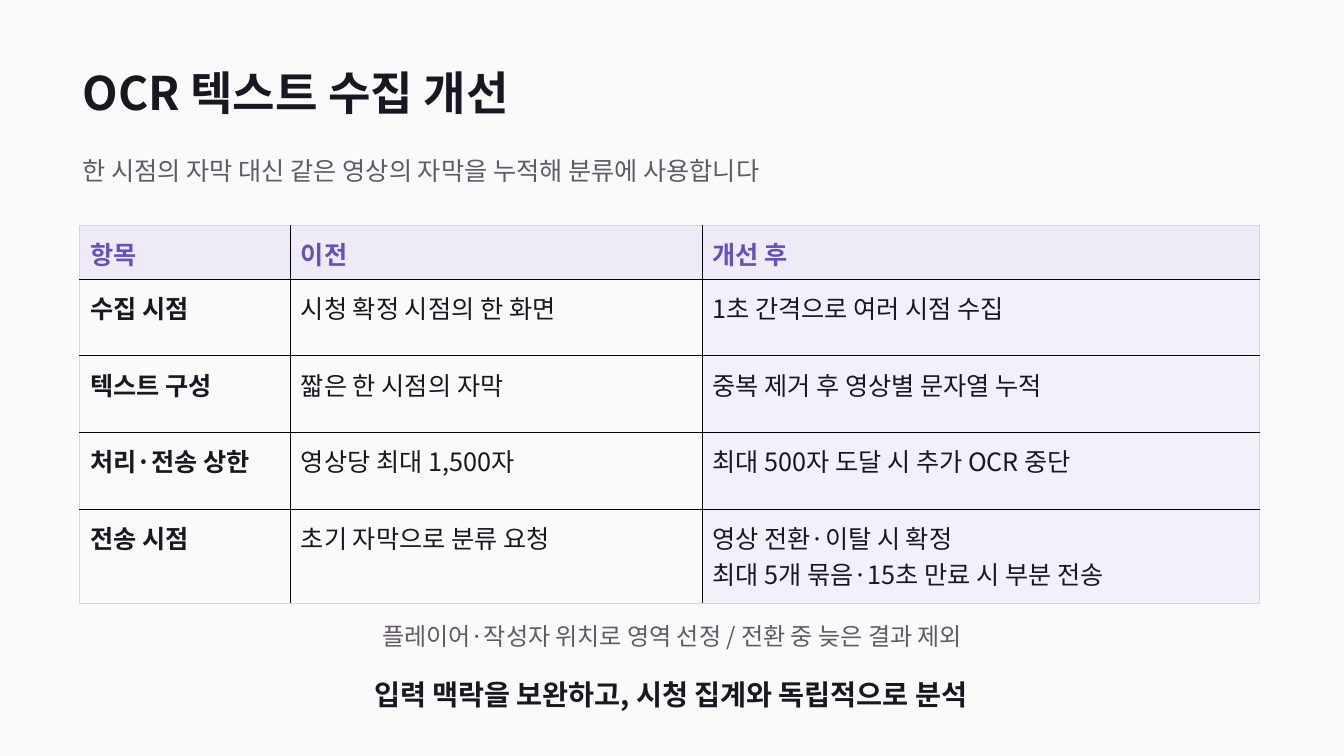
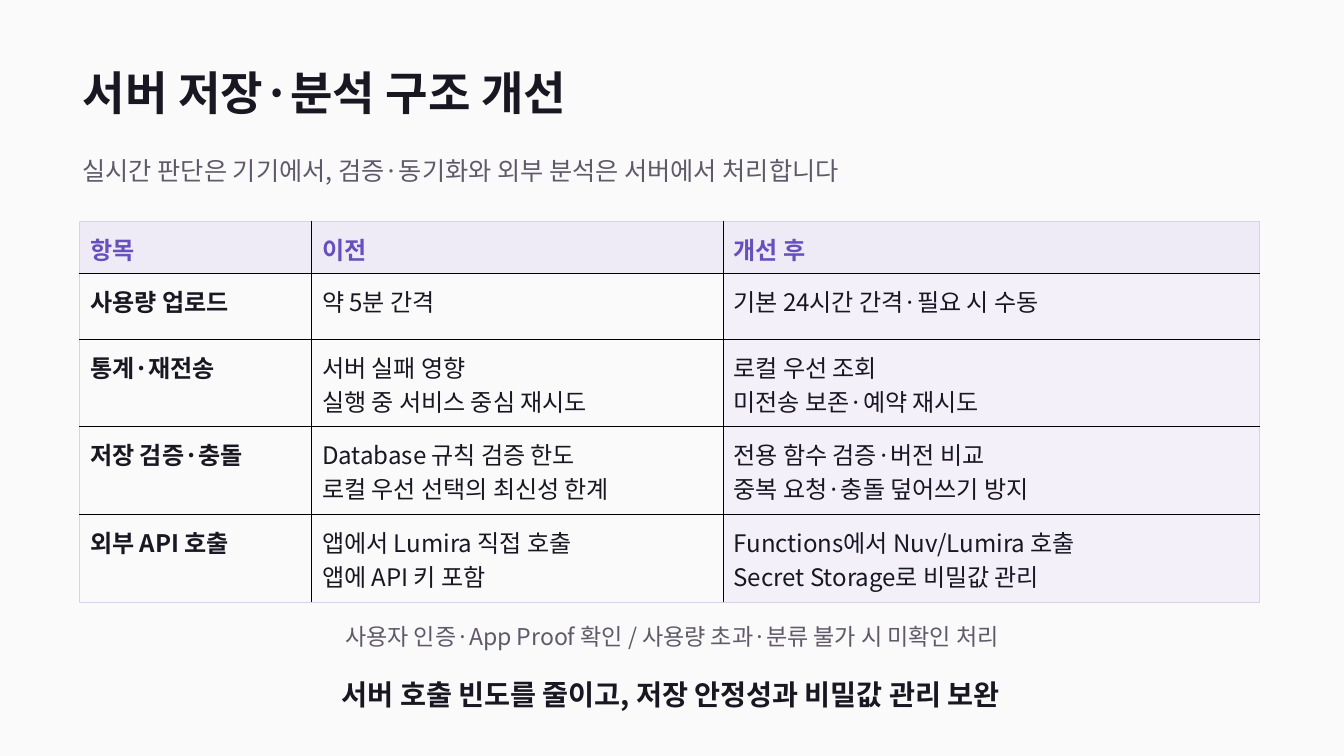
import pptx
import pptx.util
import pptx.dml.color
import pptx.enum.text
import pptx.oxml
import pptx.oxml.ns
import lxml.etree

Pt = pptx.util.Pt
RGB = pptx.dml.color.RGBColor
Anchor = pptx.enum.text.MSO_ANCHOR
Align = pptx.enum.text.PP_ALIGN
qn = pptx.oxml.ns.qn

PAPER = RGB(0xFA, 0xFA, 0xFA)
INK = RGB(0x19, 0x18, 0x22)
MUTED = RGB(0x60, 0x59, 0x69)
ACCENT = RGB(0x67, 0x50, 0xBD)
HEAD = RGB(0xEE, 0xEA, 0xF6)
AFTER = RGB(0xF3, 0xF0, 0xF9)
EDGE = RGB(0xD9, 0xD3, 0xE4)
RULE = RGB(0x00, 0x00, 0x00)
FONT = "Noto Sans CJK KR"

LEFT, WIDTH = 57, 843
HEADER = ("항목", "이전", "개선 후")

SLIDES = [
    {
        "title": "OCR 텍스트 수집 개선",
        "lead": "한 시점의 자막 대신 같은 영상의 자막을 누적해 분류에 사용합니다",
        "rows": [
            ("수집 시점", "시청 확정 시점의 한 화면", "1초 간격으로 여러 시점 수집"),
            ("텍스트 구성", "짧은 한 시점의 자막", "중복 제거 후 영상별 문자열 누적"),
            ("처리·전송 상한", "영상당 최대 1,500자", "최대 500자 도달 시 추가 OCR 중단"),
            ("전송 시점", "초기 자막으로 분류 요청",
             "영상 전환·이탈 시 확정\n최대 5개 묶음·15초 만료 시 부분 전송"),
        ],
        "note": "플레이어·작성자 위치로 영역 선정 / 전환 중 늦은 결과 제외",
        "close": "입력 맥락을 보완하고, 시청 집계와 독립적으로 분석",
        "top": 161, "cols": (150.5, 294), "size": 18, "small": 17.2,
        "heights": (38, 54.8, 54.8, 54.8, 67.7),
    },
    {
        "title": "서버 저장·분석 구조 개선",
        "lead": "실시간 판단은 기기에서, 검증·동기화와 외부 분석은 서버에서 처리합니다",
        "rows": [
            ("사용량 업로드", "약 5분 간격", "기본 24시간 간격·필요 시 수동"),
            ("통계·재전송", "서버 실패 영향\n실행 중 서비스 중심 재시도",
             "로컬 우선 조회\n미전송 보존·예약 재시도"),
            ("저장 검증·충돌", "Database 규칙 검증 한도\n로컬 우선 선택의 최신성 한계",
             "전용 함수 검증·버전 비교\n중복 요청·충돌 덮어쓰기 방지"),
            ("외부 API 호출", "앱에서 Lumira 직접 호출\n앱에 API 키 포함",
             "Functions에서 Nuv/Lumira 호출\nSecret Storage로 비밀값 관리"),
        ],
        "note": "사용자 인증·App Proof 확인 / 사용량 초과·분류 불가 시 미확인 처리",
        "close": "서버 호출 빈도를 줄이고, 저장 안정성과 비밀값 관리 보완",
        "top": 158, "cols": (165.6, 294), "size": 17.2, "small": 16.5,
        "heights": (37, 47.2, 62.3, 62.8, 62.8),
    },
]


def write(frame, text, size, color, bold=False, align=Align.LEFT):
    frame.text = text
    for para in frame.paragraphs:
        props = para._p.get_or_add_pPr()
        props.set("marL", "0")
        props.set("indent", "0")
        lxml.etree.SubElement(props, qn("a:buNone"))
        para.alignment = align
        para.line_spacing = 0.99
        para.space_before = Pt(0)
        font = para.font
        font.name, font.size, font.bold = FONT, Pt(size), bold
        font.color.rgb = color
        asian = lxml.etree.SubElement(props.find(qn("a:defRPr")), qn("a:ea"))
        asian.set("typeface", FONT)


def place(shape, box, pad, *style):
    shape.left, shape.top, shape.width, shape.height = map(Pt, box)
    frame = shape.text_frame
    frame.word_wrap = True
    frame.auto_size = pptx.enum.text.MSO_AUTO_SIZE.NONE
    frame.vertical_anchor = Anchor.MIDDLE
    frame.margin_left = frame.margin_right = 0
    frame.margin_top = frame.margin_bottom = Pt(pad)
    write(frame, *style)


def border(cell, row, col, last, end):
    props = cell._tc.get_or_add_tcPr()
    outer = {"lnL": col == 0, "lnR": col == end, "lnT": row == 0, "lnB": row == last}
    for at, (tag, edge) in enumerate(outer.items()):
        line = pptx.oxml.parse_xml(
            f'<a:{tag} {pptx.oxml.ns.nsdecls("a")} w="{Pt(0.75)}"><a:solidFill>'
            f'<a:srgbClr val="{EDGE if edge else RULE}"/></a:solidFill></a:{tag}>')
        props.insert(at, line)


def grid(slide, data):
    rows = [HEADER, *data["rows"]]
    cols = (*data["cols"], WIDTH - sum(data["cols"]))
    heights = data["heights"]
    table = slide.shapes.add_table(
        len(rows), len(cols), Pt(LEFT), Pt(data["top"]), Pt(WIDTH), Pt(sum(heights))).table
    table.first_row = table.horz_banding = False
    for col, width in zip(table.columns, cols):
        col.width = Pt(width)
    for row, height in zip(table.rows, heights):
        row.height = Pt(height)
    for r, row in enumerate(rows):
        for c, text in enumerate(row):
            cell = table.cell(r, c)
            cell.margin_left = cell.margin_right = cell.margin_top = Pt(7.5)
            cell.margin_bottom = Pt(5)
            cell.vertical_anchor = Anchor.TOP
            cell.fill.solid()
            cell.fill.fore_color.rgb = HEAD if r == 0 else AFTER if c == 2 else PAPER
            border(cell, r, c, len(rows) - 1, len(cols) - 1)
            write(cell.text_frame, text, data["size"],
                  ACCENT if r == 0 else INK, r == 0 or c == 0)


def build(deck, data):
    slide = deck.slides.add_slide(deck.slide_layouts[1])
    title, lead = slide.placeholders
    place(title, (59, 41, 863, 52), 3.5, data["title"], 33, INK, True)
    place(lead, (59, 102, 855, 41), 2, data["lead"], 18, MUTED)
    grid(slide, data)
    note, close = (slide.shapes.add_textbox(0, 0, 0, 0) for _ in range(2))
    place(note, (53.5, 441, 853, 28.5), 1.5, data["note"], data["small"],
          MUTED, False, Align.CENTER)
    place(close, (51, 479, 856, 35), 2, data["close"], 20.2, INK, True, Align.CENTER)


def main():
    deck = pptx.Presentation()
    deck.slide_width, deck.slide_height = Pt(960), Pt(540)
    fill = deck.slide_master.background.fill
    fill.solid()
    fill.fore_color.rgb = PAPER
    for data in SLIDES:
        build(deck, data)
    deck.save("out.pptx")


if __name__ == "__main__":
    main()
